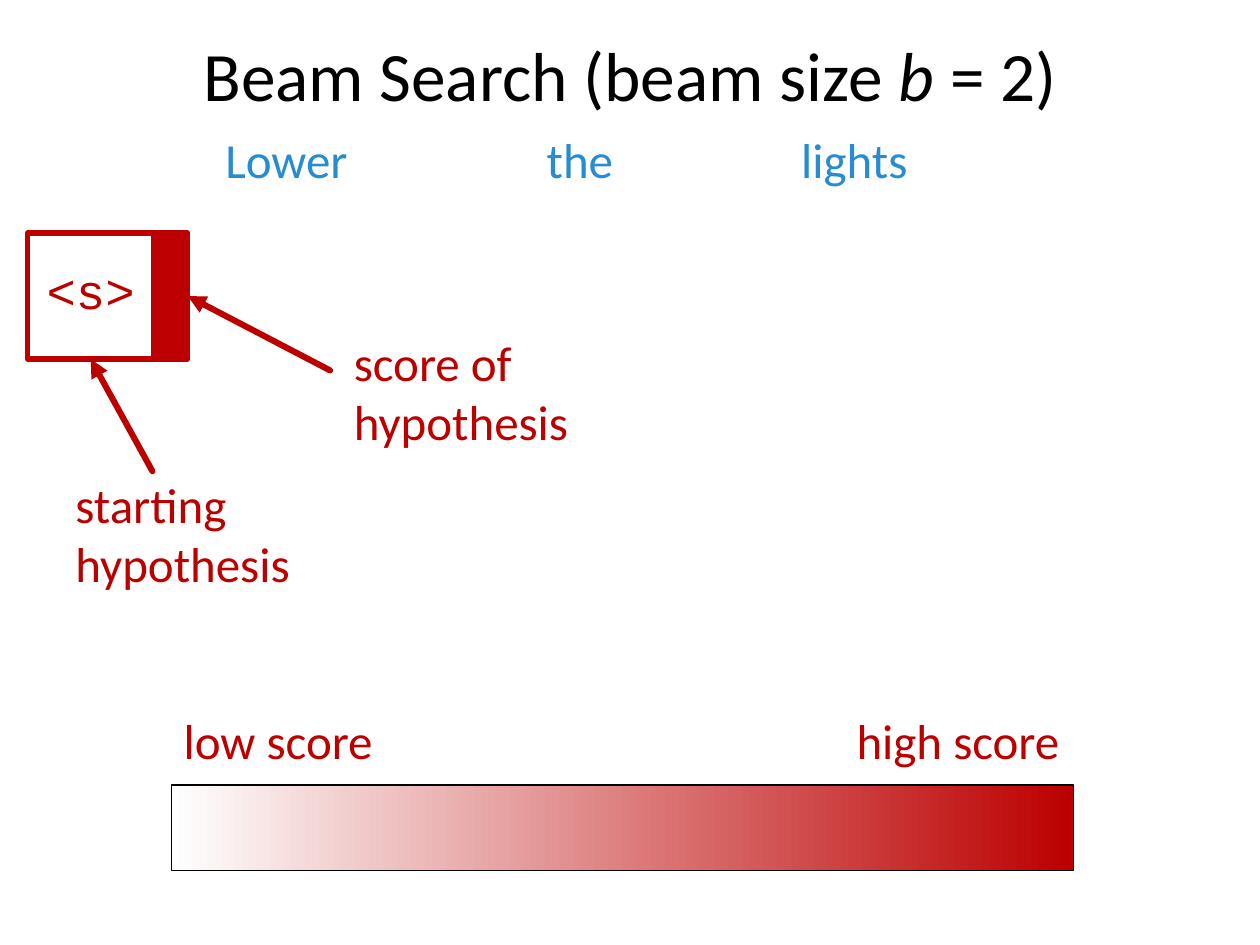
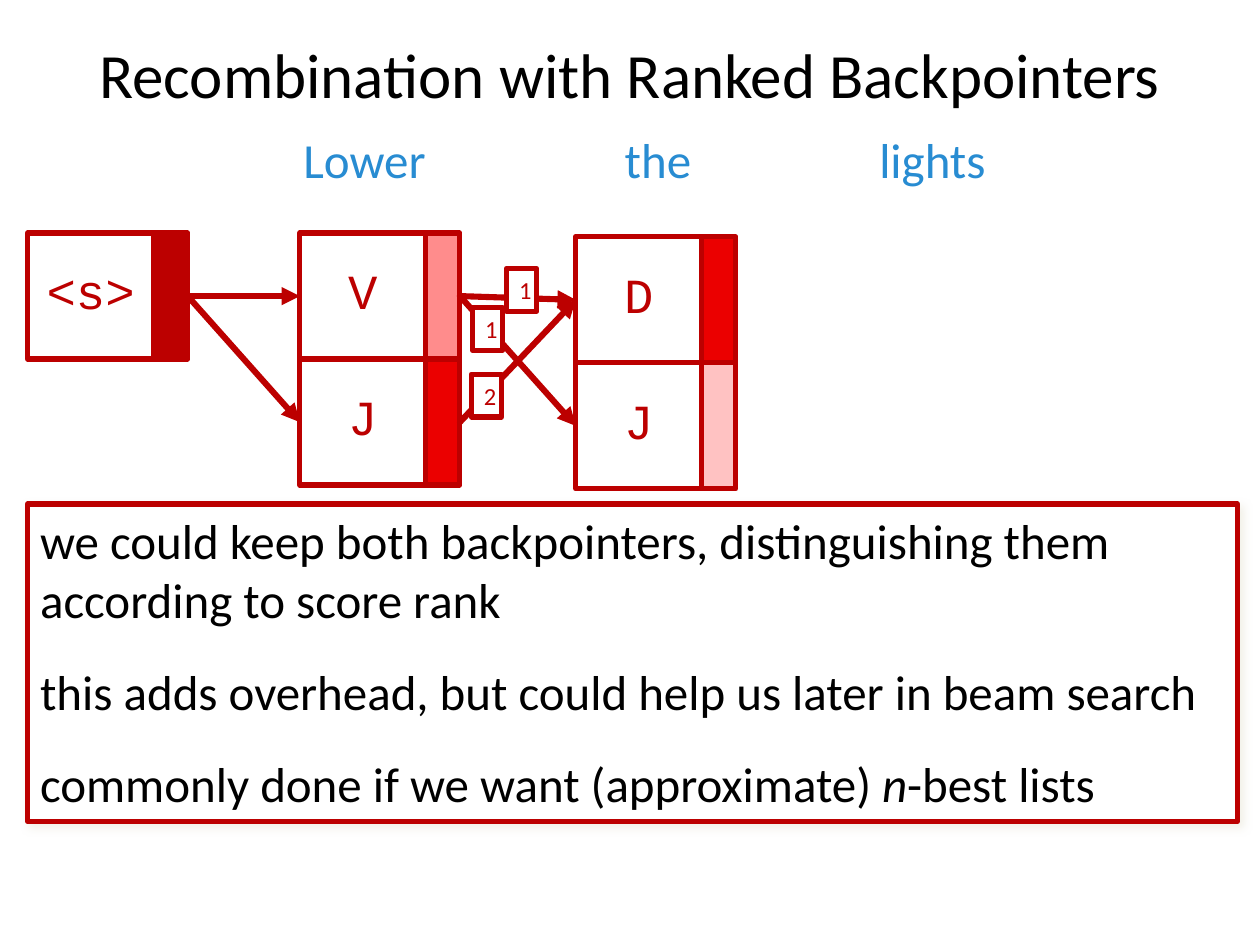
from dataclasses import dataclass

from lxml.etree import SubElement
from pptx import Presentation
from pptx.dml.color import RGBColor
from pptx.enum.shapes import MSO_CONNECTOR as Link, MSO_SHAPE as Kind
from pptx.enum.text import MSO_ANCHOR as Anchor, PP_ALIGN as Align
from pptx.oxml.ns import qn
from pptx.shapes.autoshape import Shape
from pptx.shapes.connector import Connector
from pptx.slide import Slide
from pptx.util import Inches, Pt

COLORS = {
    "ink": "000000",
    "paper": "FFFFFF",
    "red": "BC0000",
    "blue": "288CD2",
    "bright": "EB0000",
    "pink": "FF8C8C",
    "pale": "FFC2C2",
    "shade": "EEECE1",
}
SANS, MONO = "Calibri", "Courier New"
SIDE, STRIP = 1.0, 0.27
TOP, BOTTOM, LEFT, RIGHT = range(4)


@dataclass
class Style:
    size: float = 28
    color: str = "red"
    font: str = SANS
    align: Align = Align.LEFT
    gap: float = 0


@dataclass
class Label:
    text: str
    left: float
    top: float
    width: float
    height: float = 0.57


@dataclass
class State:
    tag: str
    left: float
    top: float
    score: str


@dataclass
class Cell:
    box: Shape
    bar: Shape


def rgb(name: str) -> RGBColor:
    return RGBColor.from_string(COLORS[name])


def write(shape: Shape, text: str, style: Style) -> None:
    frame = shape.text_frame
    frame.word_wrap = True
    for i, line in enumerate(text.split("\n")):
        para = frame.paragraphs[0] if i == 0 else frame.add_paragraph()
        para.alignment = style.align
        if i and style.gap:
            para.space_before = Pt(style.gap)
        for j, part in enumerate(line.split("*")):
            run = para.add_run()
            run.text = part
            font = run.font
            font.name, font.size = style.font, Pt(style.size)
            font.italic = j % 2 == 1
            font.color.rgb = rgb(style.color)


def add_text(slide: Slide, label: Label, style: Style = Style()) -> Shape:
    box = slide.shapes.add_textbox(
        Inches(label.left), Inches(label.top),
        Inches(label.width), Inches(label.height))
    write(box, label.text, style)
    return box


def add_rect(slide: Slide, left: float, top: float, width: float,
             height: float, fill: str = "", line: str = "red",
             weight: float = 3) -> Shape:
    rect = slide.shapes.add_shape(
        Kind.RECTANGLE, Inches(left), Inches(top),
        Inches(width), Inches(height))
    rect.shadow.inherit = False
    if fill:
        rect.fill.solid()
        rect.fill.fore_color.rgb = rgb(fill)
    else:
        rect.fill.background()
    rect.line.color.rgb = rgb(line)
    rect.line.width = Pt(weight)
    return rect


def add_cell(slide: Slide, state: State) -> Cell:
    box = add_rect(slide, state.left, state.top, SIDE, SIDE)
    frame = box.text_frame
    frame.vertical_anchor = Anchor.TOP
    frame.margin_left = frame.margin_right = 0
    frame.margin_top = Inches(0.22)
    write(box, state.tag, Style(font=MONO, align=Align.CENTER))
    bar = add_rect(slide, state.left + SIDE, state.top, STRIP, SIDE,
                   state.score)
    return Cell(box, bar)


def add_arrow(slide: Slide, goal: Shape, side: int,
              x: float = 0, y: float = 0) -> Connector:
    start = Inches(x), Inches(y)
    arrow = slide.shapes.add_connector(Link.STRAIGHT, *start, *start)
    arrow.end_connect(goal, side)
    arrow.line.color.rgb = rgb("red")
    arrow.line.width = Pt(3.5)
    line = arrow.line._get_or_add_ln()
    line.set("cap", "rnd")
    SubElement(line, qn("a:tailEnd"), type="triangle")
    SubElement(arrow._element.spPr, qn("a:effectLst"))
    return arrow


def add_step(slide: Slide, source: Cell, goal: Cell) -> None:
    arrow = add_arrow(slide, goal.box, 1)
    arrow.begin_connect(source.bar, 3)


def add_rank(slide: Slide, rank: str, left: float, top: float) -> None:
    box = add_rect(slide, left, top, 0.24, 0.34, "paper")
    frame = box.text_frame
    frame.margin_left = Inches(0.06)
    frame.margin_right = frame.margin_top = frame.margin_bottom = 0
    frame.vertical_anchor = Anchor.MIDDLE
    write(box, rank, Style(size=14, align=Align.CENTER))


def add_shade(shape: Shape) -> None:
    effects = shape._element.spPr.find(qn("a:effectLst"))
    shade = SubElement(effects, qn("a:outerShdw"), blurRad=str(Pt(5)),
                       dist=str(Pt(3)), dir=str(45 * 60000))
    color = SubElement(shade, qn("a:srgbClr"), val=COLORS["shade"])
    SubElement(color, qn("a:alpha"), val="75000")


def add_page(deck: Presentation, title: str, size: float,
             left: float) -> tuple[Slide, Cell]:
    slide = deck.slides.add_slide(deck.slide_layouts[5])
    head = slide.shapes.title
    head.left, head.top = Inches(0.5), Inches(0.19)
    head.width, head.height = Inches(9), Inches(0.79)
    head.text_frame.vertical_anchor = Anchor.MIDDLE
    write(head, title, Style(size, "ink", align=Align.CENTER))

    words = add_text(slide, Label("Lower\tthe\tlights", left, 0.98, 7.09),
                     Style(color="blue"))
    props = words.text_frame.paragraphs[0]._p.get_or_add_pPr()
    tabs = SubElement(props, qn("a:tabLst"))
    for stop in (2.55, 4.57):
        SubElement(tabs, qn("a:tab"), pos=str(Inches(stop)), algn="l")
    return slide, add_cell(slide, State("<s>", 0.22, 1.85, "red"))


def add_scale(slide: Slide) -> None:
    scale = add_rect(slide, 1.36, 6.23, 7.16, 0.68, line="ink", weight=0.75)
    scale.fill.gradient()
    scale.fill.gradient_angle = 0
    for stop, name in zip(scale.fill.gradient_stops, ("paper", "red")):
        stop.color.rgb = rgb(name)


def build_beam(deck: Presentation) -> None:
    slide, start = add_page(deck, "Beam Search (beam size *b* = 2)", 39.6, 1.69)
    add_arrow(slide, start.box, 2, 1.21, 3.74)
    add_arrow(slide, start.bar, 3, 2.62, 2.94)
    for label in (
        Label("starting hypothesis", 0.5, 3.72, 2.21, 1.04),
        Label("score of hypothesis", 2.71, 2.59, 2.21, 1.04),
        Label("low score", 1.36, 5.59, 1.9),
        Label("high score", 6.7, 5.59, 1.9),
    ):
        add_text(slide, label)
    add_scale(slide)


def build_ranks(deck: Presentation) -> None:
    slide, start = add_page(
        deck, "Recombination with Ranked Backpointers", 36, 2.31)
    verb, adj, det, last = [add_cell(slide, state) for state in (
        State("V", 2.38, 1.85, "pink"),
        State("J", 2.38, 1.85 + SIDE, "bright"),
        State("D", 4.57, 1.88, "bright"),
        State("J", 4.57, 1.88 + SIDE, "pale"),
    )]
    for source, goal in ((start, verb), (start, adj), (verb, det),
                         (adj, det), (verb, last)):
        add_step(slide, source, goal)
    for rank, left, top in (("1", 4.02, 2.13), ("1", 3.75, 2.44),
                            ("2", 3.74, 2.97)):
        add_rank(slide, rank, left, top)

    note = add_rect(slide, 0.22, 4, 9.6, 2.52, "paper")
    add_shade(note)
    note.text_frame.vertical_anchor = Anchor.TOP
    write(note, "\n".join((
        "we could keep both backpointers, distinguishing them "
        "according to score rank",
        "this adds overhead, but could help us later in beam search",
        "commonly done if we want (approximate) *n*-best lists",
    )), Style(color="ink", gap=19))


def main() -> None:
    deck = Presentation()
    deck.slide_width, deck.slide_height = Inches(10), Inches(7.5)
    build_beam(deck)
    build_ranks(deck)
    deck.save("out.pptx")


if __name__ == "__main__":
    main()
